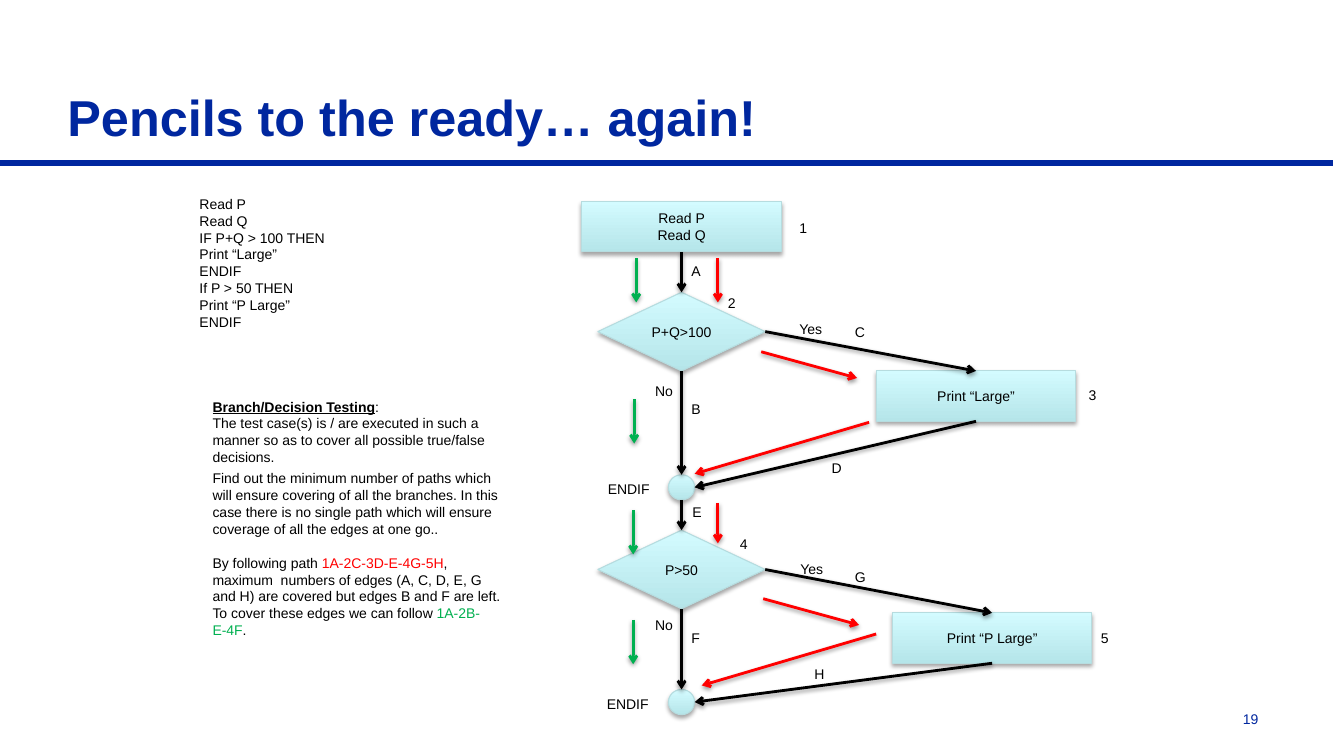
from dataclasses import dataclass

from lxml.etree import SubElement
from pptx import Presentation
from pptx.dml.color import RGBColor
from pptx.enum.shapes import MSO_CONNECTOR, MSO_SHAPE
from pptx.enum.text import MSO_ANCHOR, PP_ALIGN
from pptx.oxml.ns import qn
from pptx.util import Emu, Pt

PX = 9144  # EMU in one px, 100 px to the inch
TOP, LEFT, BOTTOM, RIGHT = range(4)


@dataclass(frozen=True)
class Theme:
    font: str = "Arial"
    navy: str = "00279F"
    black: str = "000000"
    red: str = "FF0000"
    green: str = "00B050"
    node_low: str = "B5E5E9"
    node_high: str = "D3FBFF"
    node_edge: str = "B6DCDF"
    title_size: int = 36
    body_size: int = 10
    rule_width: float = 4
    arrow_width: float = 2
    edge_width: float = 0.75


def px(*lengths):
    return [Emu(round(length * PX)) for length in lengths]


def rgb(colour):
    return RGBColor.from_string(colour)


def side_middle(shape, side):
    """Return the middle of one side of a shape, in px."""
    across, down = {TOP: (0.5, 0), LEFT: (0, 0.5), BOTTOM: (0.5, 1), RIGHT: (1, 0.5)}[side]
    return (shape.left + across * shape.width) / PX, (shape.top + down * shape.height) / PX


def add_shadow(effects, alpha, distance):
    shadow = SubElement(effects, qn("a:outerShdw"), blurRad="40000", dist=str(distance),
                        dir="5400000", rotWithShape="0")
    colour = SubElement(shadow, qn("a:srgbClr"), val="000000")
    SubElement(colour, qn("a:alpha"), val=str(alpha * 1000))


class FlowSlide:
    def __init__(self, slide, theme):
        self.shapes = slide.shapes
        self.theme = theme

    def fill_text(self, frame, paragraphs, size=None, colour=None, bold=False, align=PP_ALIGN.LEFT):
        """Fill a frame; a paragraph is a string or a list of (text, font settings)."""
        frame.word_wrap = True
        for index, content in enumerate(paragraphs):
            paragraph = frame.add_paragraph() if index else frame.paragraphs[0]
            paragraph.alignment = align
            font = paragraph.font
            font.name = self.theme.font
            font.size = Pt(size or self.theme.body_size)
            font.bold = bold
            font.color.rgb = rgb(colour or self.theme.black)
            for text, settings in [(content, {})] if isinstance(content, str) else content:
                run = paragraph.add_run()
                run.text = text
                if "colour" in settings:
                    run.font.color.rgb = rgb(settings["colour"])
                if settings.get("heading"):
                    run.font.bold = run.font.underline = True

    def text(self, x, y, width, height, *paragraphs, anchor=MSO_ANCHOR.TOP, **style):
        frame = self.shapes.add_textbox(*px(x, y, width, height)).text_frame
        frame.vertical_anchor = anchor
        self.fill_text(frame, paragraphs, **style)

    def node(self, kind, x, y, width, height, *paragraphs):
        node = self.shapes.add_shape(kind, *px(x, y, width, height))
        node.fill.gradient()
        node.fill.gradient_angle = 90
        for stop, colour in zip(node.fill.gradient_stops, (self.theme.node_low, self.theme.node_high)):
            stop.color.rgb = rgb(colour)
        node.line.color.rgb = rgb(self.theme.node_edge)
        node.line.width = Pt(self.theme.edge_width)
        node.shadow.inherit = False
        add_shadow(node.element.spPr.find(qn("a:effectLst")), 35, 23000)
        node.text_frame.vertical_anchor = MSO_ANCHOR.MIDDLE
        self.fill_text(node.text_frame, paragraphs, align=PP_ALIGN.CENTER)
        return node

    def step(self, x, y, *lines):
        return self.node(MSO_SHAPE.RECTANGLE, x, y, 198, 50, *lines)

    def decision(self, y, question):
        return self.node(MSO_SHAPE.FLOWCHART_DECISION, 593, y, 166, 78, question)

    def junction(self, y):
        return self.node(MSO_SHAPE.FLOWCHART_CONNECTOR, 663, y, 26, 25)

    def line(self, start, end, colour, width):
        line = self.shapes.add_connector(MSO_CONNECTOR.STRAIGHT, *px(*start, *end))
        line.line.color.rgb = rgb(colour)
        line.line.width = Pt(width)
        SubElement(line.element.spPr, qn("a:effectLst"))
        return line

    def arrow(self, start, end, colour):
        arrow = self.line(start, end, colour, self.theme.arrow_width)
        properties = arrow.element.spPr
        SubElement(properties.find(qn("a:ln")), qn("a:tailEnd"), type="arrow")
        add_shadow(properties.find(qn("a:effectLst")), 38, 20000)
        return arrow

    def link(self, source, source_side, target, target_side):
        """Draw a flow arrow, joined to every end that is not a round junction."""
        arrow = self.arrow(side_middle(source, source_side), side_middle(target, target_side),
                           self.theme.black)
        if source.auto_shape_type != MSO_SHAPE.FLOWCHART_CONNECTOR:
            arrow.begin_connect(source, source_side)
        if target.auto_shape_type != MSO_SHAPE.FLOWCHART_CONNECTOR:
            arrow.end_connect(target, target_side)


def main():
    theme = Theme()
    presentation = Presentation()
    presentation.slide_width, presentation.slide_height = px(1333, 750)
    page = FlowSlide(presentation.slides.add_slide(presentation.slide_layouts[6]), theme)

    page.line((0, 162), (1322, 162), theme.navy, theme.rule_width)
    page.text(1192, 700, 66, 27, "19", colour=theme.navy, align=PP_ALIGN.RIGHT)
    page.text(57, 29, 1188, 121, "Pencils to the ready… again!", anchor=MSO_ANCHOR.BOTTOM,
              size=theme.title_size, colour=theme.navy, bold=True)

    read_values = page.step(577, 200, "Read P", "Read Q")
    sum_check = page.decision(290, "P+Q>100")
    print_large = page.step(869, 368, "Print “Large”")
    first_endif = page.junction(471)
    p_check = page.decision(526, "P>50")
    print_p_large = page.step(885, 608, "Print “P Large”")
    last_endif = page.junction(684)

    for flow in (
        (read_values, BOTTOM, sum_check, TOP),
        (sum_check, RIGHT, print_large, TOP),
        (sum_check, BOTTOM, first_endif, TOP),
        (print_large, BOTTOM, first_endif, RIGHT),
        (first_endif, BOTTOM, p_check, TOP),
        (p_check, RIGHT, print_p_large, TOP),
        (p_check, BOTTOM, last_endif, TOP),
        (print_p_large, BOTTOM, last_endif, RIGHT),
    ):
        page.link(*flow)

    labels = {
        24: [("1", 783, 213), ("2", 712, 287), ("3", 1070, 379), ("4", 724, 526), ("5", 1082, 620),
             ("A", 676, 256), ("B", 676, 392), ("C", 838, 316), ("D", 815, 451), ("E", 677, 495),
             ("F", 676, 620), ("G", 838, 559), ("H", 798, 655)],
        46: [("No", 640, 375), ("No", 640, 607), ("Yes", 783, 313), ("Yes", 784, 551)],
        71: [("ENDIF", 593, 472), ("ENDIF", 592, 685)],
    }
    for width, group in labels.items():
        for label, x, y in group:
            page.text(x, y, width, 27, label)

    page.text(188, 189, 268, 162, "Read P", "Read Q", "IF P+Q > 100 THEN", "Print “Large”",
              "ENDIF", "If P > 50 THEN", "Print “P Large”", "ENDIF")
    page.text(201, 390, 306, 77,
              [("Branch/Decision Testing", {"heading": True}), (":", {})],
              "The test case(s) is / are executed in such a manner so as to cover all possible "
              "true/false decisions.")
    page.text(201, 461, 306, 77,
              "Find out the minimum number of paths which will ensure covering of all the branches. "
              "In this case there is no single path which will ensure coverage of all the edges at one go..")
    page.text(201, 545, 306, 111, [
        ("By following path ", {}),
        ("1A-2C-3D-E-4G-5H", {"colour": theme.red}),
        (", maximum  numbers of edges (A, C, D, E, G and H) are covered but edges B and F are left. "
         "To cover these edges we can follow ", {}),
        ("1A-2B-E-4F", {"colour": theme.green}),
        (".", {}),
    ])

    paths = {
        theme.red: [((712, 256), (712, 300)), ((755, 349), (850, 375)), ((862, 419), (689, 470)),
                    ((712, 499), (712, 539)), ((757, 594), (852, 620)), ((869, 629), (696, 680))],
        theme.green: [((x, y), (x, y + 44)) for x, y in ((631, 256), (629, 396), (628, 506), (628, 615))],
    }
    for colour, arrows in paths.items():
        for start, end in arrows:
            page.arrow(start, end, colour)

    presentation.save("out.pptx")


if __name__ == "__main__":
    main()
